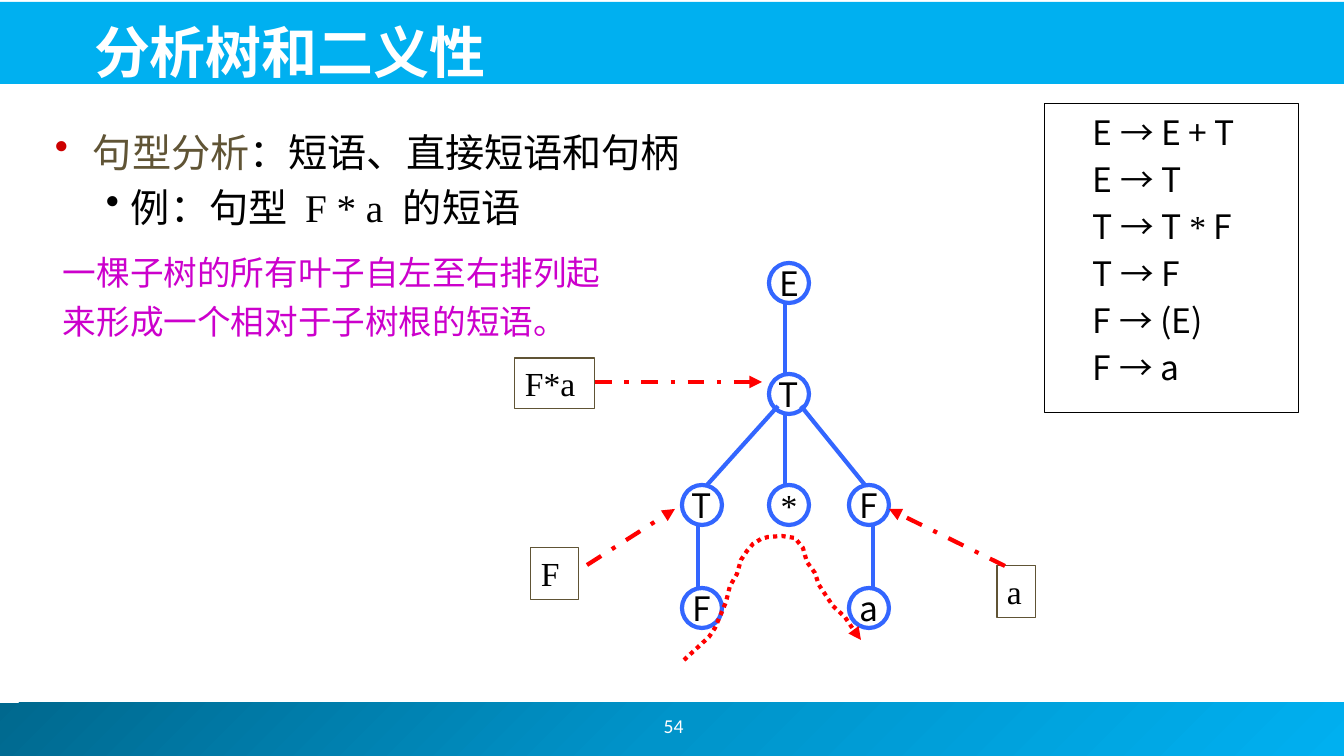
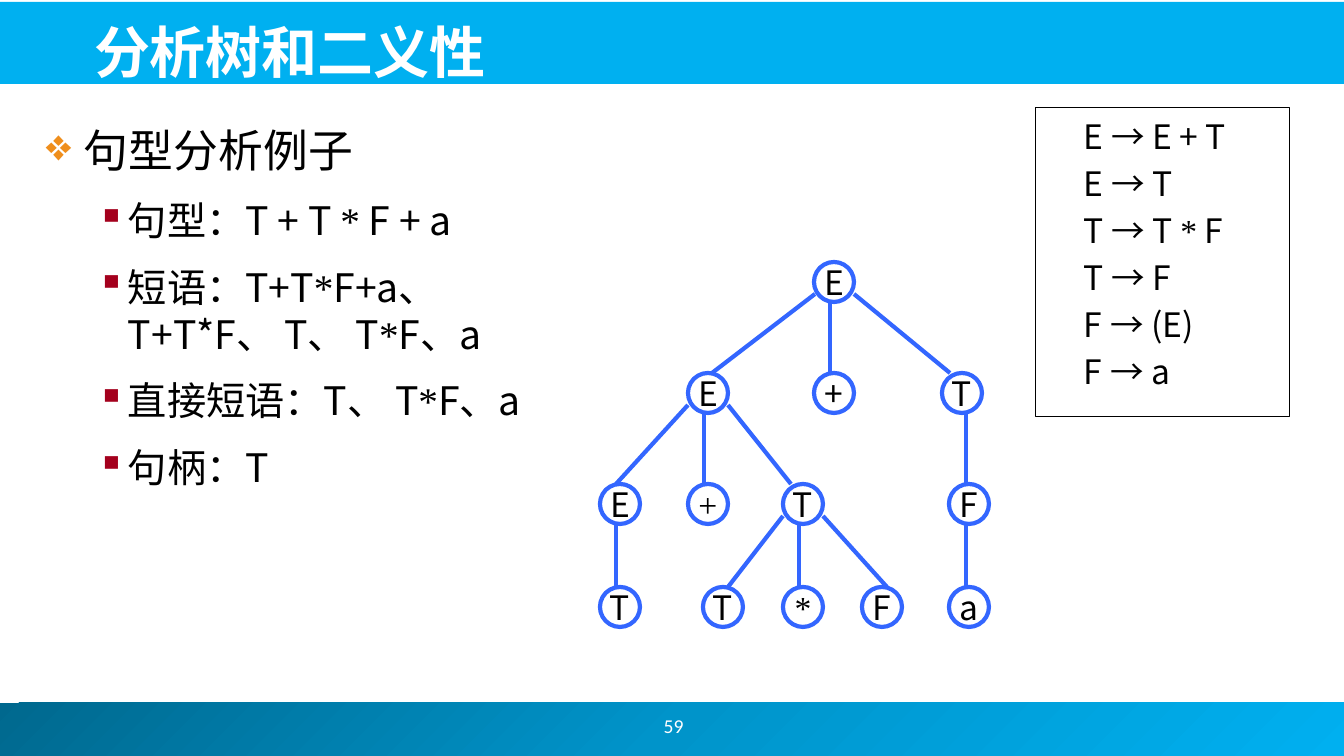
from copy import deepcopy

from pptx import Presentation, util as u
from pptx.dml.color import RGBColor
from pptx.enum import dml, shapes, text
from pptx.oxml.ns import qn
from pptx.oxml.xmlchemy import OxmlElement

WHITE = RGBColor(0xFF, 0xFF, 0xFF)
BLACK = RGBColor(0, 0, 0)
SKY = RGBColor(0x00, 0xB0, 0xF0)
MID_BLUE = RGBColor(0x00, 0x94, 0xCA)
DEEP_BLUE = RGBColor(0x00, 0x68, 0x8E)
TREE_BLUE = RGBColor(0x33, 0x66, 0xFF)
BROWN = RGBColor(0x60, 0x54, 0x35)
RED = RGBColor(0xFF, 0, 0)
PURPLE = RGBColor(0xCC, 0, 0xCC)
BULLET_RED = RGBColor(0xCC, 0, 0)
BULLET_ORANGE = RGBColor(0xEF, 0x8E, 0x1C)
BULLET_CRIMSON = RGBColor(0xA4, 0, 0x1D)

SANS, SANS_SC = "Noto Sans CJK JP", "Noto Sans CJK SC"
SERIF, NUMBER = "Times New Roman", "Calibri"
ROWS = (0, 111, 222, 325)
RADIUS = 20
GRAMMAR = ("E → E + T", "E → T", "T → T |*| F", "T → F", "F → (E)", "F → a")


def px(n):
    """Turn pixels into EMU."""
    return u.Emu(round(n * 9071.43))


def child(parent, tag, **attrs):
    """Append a new XML element with attributes."""
    el = OxmlElement(tag)
    for key, value in attrs.items():
        el.set(key, value)
    parent.append(el)
    return el


def frame(sp, insets=(10, 9, 10, 5), anchor=text.MSO_ANCHOR.TOP, wrap=True):
    """Set insets, anchor and wrapping, and return the text frame."""
    tf = sp.text_frame
    tf.margin_left, tf.margin_top, tf.margin_right, tf.margin_bottom = map(px, insets)
    tf.vertical_anchor = anchor
    tf.word_wrap = wrap
    return tf


def para(tf, content, size, font=SANS, color=BLACK, before=0, leading=1.2,
         align=text.PP_ALIGN.LEFT):
    """Fill the next paragraph; pieces between bars are set in the serif."""
    first = not tf.paragraphs[0].runs
    p = tf.paragraphs[0] if first else tf.add_paragraph()
    p.alignment = align
    p.space_before = u.Pt(0 if first else size * before)
    if leading:
        p.line_spacing = u.Pt(size * leading)
    p.font.size = u.Pt(size)
    p.font.color.rgb = color
    p.font.name = font
    child(p._p.pPr.find(qn("a:defRPr")), "a:ea",
          typeface=SANS if font == SANS else SANS_SC)
    for i, piece in enumerate(content.split("|")):
        r = p.add_run()
        r.text = piece
        if i % 2:
            r.font.name = SERIF
    return p


def bullet(p, char, color, left, hang):
    """Give a paragraph a coloured bullet with a hanging indent."""
    pPr = p._p.pPr
    pPr.set("marL", str(px(left)))
    pPr.set("indent", str(-px(hang)))
    clr = child(pPr, "a:buClr")
    child(clr, "a:srgbClr", val=str(color))
    mark = child(pPr, "a:buChar", char=char)
    defaults = pPr.find(qn("a:defRPr"))
    defaults.addprevious(clr)
    defaults.addprevious(mark)


def shape(s, kind, box, line=None, width=0.75):
    """Add an unfilled preset shape without shadow."""
    sp = s.shapes.add_shape(kind, *map(px, box))
    sp.shadow.inherit = False
    sp.fill.background()
    if line is None:
        sp.line.fill.background()
    else:
        sp.line.color.rgb = line
        sp.line.width = u.Pt(width)
    return sp


def rect(s, box, line=None):
    """Add an unfilled rectangle."""
    return shape(s, shapes.MSO_SHAPE.RECTANGLE, box, line)


def textbox(s, box, **options):
    """Add a text box and return its text frame."""
    return frame(s.shapes.add_textbox(*map(px, box)), **options)


def stroke(sp, color, dash=None, arrow=False):
    """Style a line, with an optional dash and arrowhead."""
    sp.line.color.rgb = color
    sp.line.width = u.Pt(3)
    if dash:
        sp.line.dash_style = dash
    if arrow:
        child(sp.line._get_or_add_ln(), "a:tailEnd", type="triangle")


def connector(s, x1, y1, x2, y2, color, **options):
    """Draw a straight line without shadow."""
    c = s.shapes.add_connector(shapes.MSO_CONNECTOR.STRAIGHT, *map(px, (x1, y1, x2, y2)))
    stroke(c, color, **options)
    child(c._element.spPr, "a:effectLst")
    return c


def base(prs, title, number):
    """Add a slide with its bands, title and page number."""
    s = prs.slides.add_slide(prs.slide_layouts[6])
    footer = rect(s, (-5, 703, 1350, 53))
    footer.fill.gradient()
    footer.fill.gradient_angle = 315
    gs = footer.fill._fill._gradFill.gsLst
    gs.insert(1, deepcopy(gs[0]))
    stops = zip(footer.fill.gradient_stops, (DEEP_BLUE, MID_BLUE, SKY), (0, 0.5, 1))
    for stop, color, position in stops:
        stop.color.rgb = color
        stop.position = position
    header = rect(s, (-2, 2, 1348, 82))
    header.fill.solid()
    header.fill.fore_color.rgb = SKY
    tf = textbox(s, (528, 701, 291, 50), insets=(10, 5, 10, 5),
                 anchor=text.MSO_ANCHOR.MIDDLE)
    para(tf, number, 14, NUMBER, WHITE, leading=None, align=text.PP_ALIGN.CENTER)
    tf = textbox(s, (84, 5, 1216, 80), insets=(10, 5, 10, 0),
                 anchor=text.MSO_ANCHOR.BOTTOM)
    para(tf, title, 40, color=WHITE).font.bold = True
    return s


def grammar(s, x, y):
    """Add the boxed list of productions."""
    tf = frame(rect(s, (x, y, 254, 309), BLACK), insets=(48, 8, 10, 5))
    for rule in GRAMMAR:
        para(tf, rule, 24, before=0.2)


def tree(s, x, y, nodes, edges):
    """Draw a parse tree whose root is centred at x, y."""
    for start, end, dx1, dx2 in edges:
        (_, ax, arow), (_, bx, brow) = nodes[start], nodes[end]
        drop = RADIUS if abs(dx1) < 5 else 12
        connector(s, x + ax + dx1, y + ROWS[arow] + drop,
                  x + bx + dx2, y + ROWS[brow] - RADIUS, TREE_BLUE)
    for label, dx, row in nodes:
        sp = shape(s, shapes.MSO_SHAPE.OVAL,
                   (x + dx - RADIUS, y + ROWS[row] - RADIUS, 2 * RADIUS, 2 * RADIUS),
                   TREE_BLUE, 3)
        tf = frame(sp, (0, 0, 0, 0), text.MSO_ANCHOR.MIDDLE, False)
        para(tf, label.strip("|"), 24, SERIF if "|" in label else SANS,
             leading=None, align=text.PP_ALIGN.CENTER)


def tag(s, label, box):
    """Add a boxed phrase beside the tree."""
    sp = rect(s, box, BROWN)
    para(frame(sp, insets=(10, 5, 0, 5), wrap=False), label, 24, SERIF)
    return sp


def callouts(s):
    """Add the phrase tags, their arrows and the dotted leaf path."""
    dash = dml.MSO_LINE.DASH_DOT
    tag(s, "F*a", (515, 358, 80, 51))
    tag(s, "F", (531, 548, 48, 52))
    tag(s, "a", (997, 566, 39, 52))
    for ends in ((595, 382, 762, 382), (587, 565, 675, 509), (1005, 566, 889, 509)):
        connector(s, *ends, RED, dash=dash, arrow=True)
    path = [(709, 637), (715, 628), (721, 614), (726, 602), (730, 586), (737, 574),
            (741, 560), (747, 551), (753, 544), (761, 539), (768, 537), (782, 536),
            (795, 538), (803, 548), (807, 562), (815, 573), (819, 585), (825, 594),
            (833, 606), (845, 617), (857, 635), (861, 640)]
    fb = s.shapes.build_freeform(684, 660, scale=9071.43)
    fb.add_line_segments(path, close=False)
    sp = fb.convert_to_shape()
    sp.shadow.inherit = False
    sp.fill.background()
    stroke(sp, RED, dash=dml.MSO_LINE.ROUND_DOT, arrow=True)


def phrase_slide(prs):
    """Build the slide that explains phrases on one tree."""
    s = base(prs, "分析树和二义性", "54")
    tf = textbox(s, (45, 119, 699, 124))
    p = para(tf, "句型分析|：短语、直接短语和句柄", 28, SERIF, before=0.2)
    p.runs[0].font.color.rgb = BROWN
    bullet(p, "•", BULLET_RED, 38, 38)
    p = para(tf, "例：句型  F * a  的短语", 28, SERIF, before=0.2)
    bullet(p, "•", BLACK, 76, 25)
    grammar(s, 1045, 104)
    nodes = [("E", 0, 0), ("T", 0, 1), ("T", -87, 2), ("|*|", 0, 2), ("F", 80, 2),
             ("F", -87, 3), ("a", 80, 3)]
    edges = [(0, 1, -4, -4), (1, 2, -11, 5), (1, 3, -4, -4), (1, 4, 12, -4),
             (2, 5, -4, -4), (4, 6, 4, 4)]
    tree(s, 789, 283, nodes, edges)
    callouts(s)
    tf = textbox(s, (53, 235, 581, 108), insets=(10, 8, 10, 5))
    para(tf, "一棵子树的所有叶子自左至右排列起来形成一个相对于子树根的短语。",
         24, SANS_SC, PURPLE, leading=1.46)


def example_slide(prs):
    """Build the slide that lists the phrases of one sentential form."""
    s = base(prs, "分析树和二义性", "59")
    tf = textbox(s, (36, 114, 549, 585))
    bullet(para(tf, "句型分析例子", 32), "❖", BULLET_ORANGE, 38, 38)
    for line in ("句型：T + T |*| F + a", "短语：T+T|*|F+a、 T+T*F、 T、 T|*|F、a",
                 "直接短语：T、 T|*|F、a", "句柄：T"):
        bullet(para(tf, line, 28, before=0.5), "▪", BULLET_CRIMSON, 82, 31)
    nodes = [("E", 0, 0), ("E", -126, 1), ("+", 0, 1), ("T", 128, 1),
             ("E", -214, 2), ("|+|", -126, 2), ("T", -31, 2), ("F", 135, 2),
             ("T", -214, 3), ("T", -111, 3), ("|*|", -31, 3), ("F", 48, 3), ("a", 135, 3)]
    edges = [(0, 1, -19, 4), (0, 2, -4, -4), (0, 3, 20, -12),
             (1, 4, -20, -4), (1, 5, -4, -4), (1, 6, 20, -12), (3, 7, 4, -3),
             (4, 8, -4, -4), (6, 9, -20, 5), (6, 10, -4, -4), (6, 11, 20, 5),
             (7, 12, -3, -3)]
    tree(s, 834, 282, nodes, edges)
    grammar(s, 1036, 108)


def main():
    """Build and save the presentation."""
    prs = Presentation()
    prs.slide_width, prs.slide_height = px(1344), px(756)
    phrase_slide(prs)
    example_slide(prs)
    prs.save("out.pptx")


if __name__ == "__main__":
    main()
